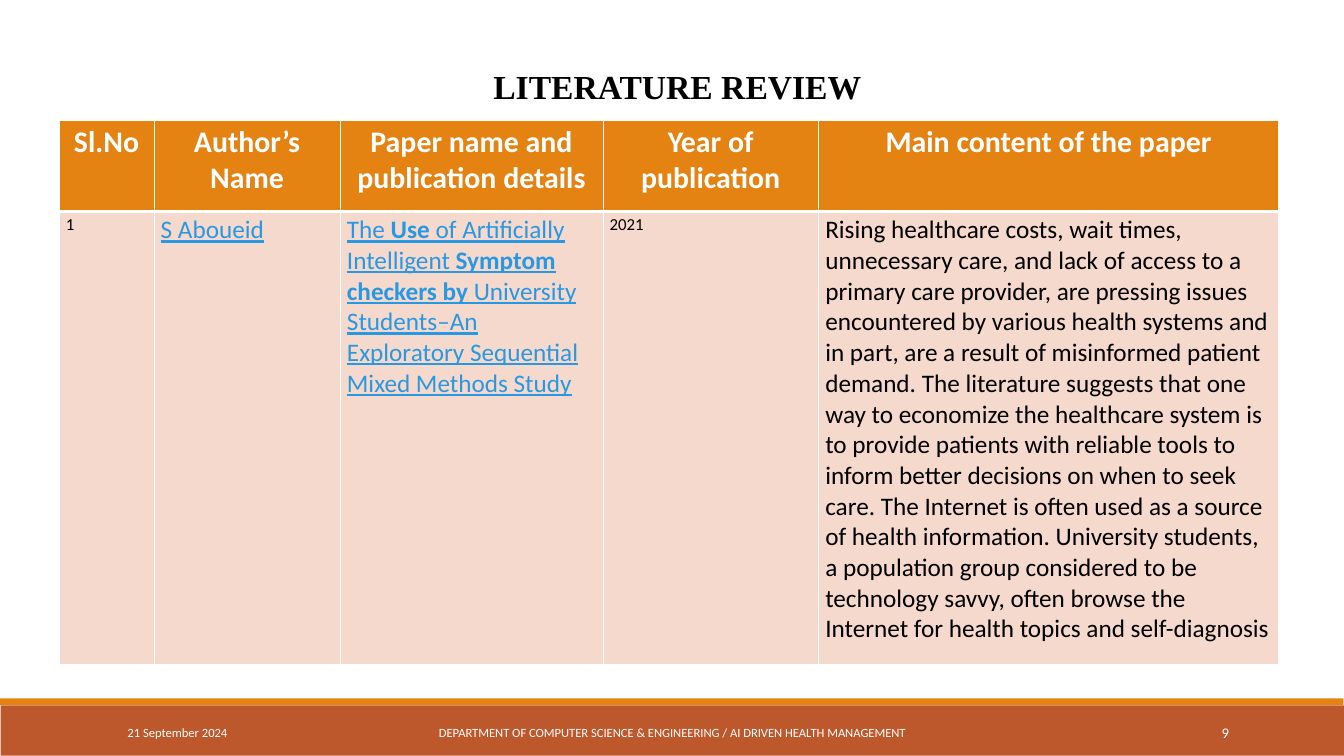
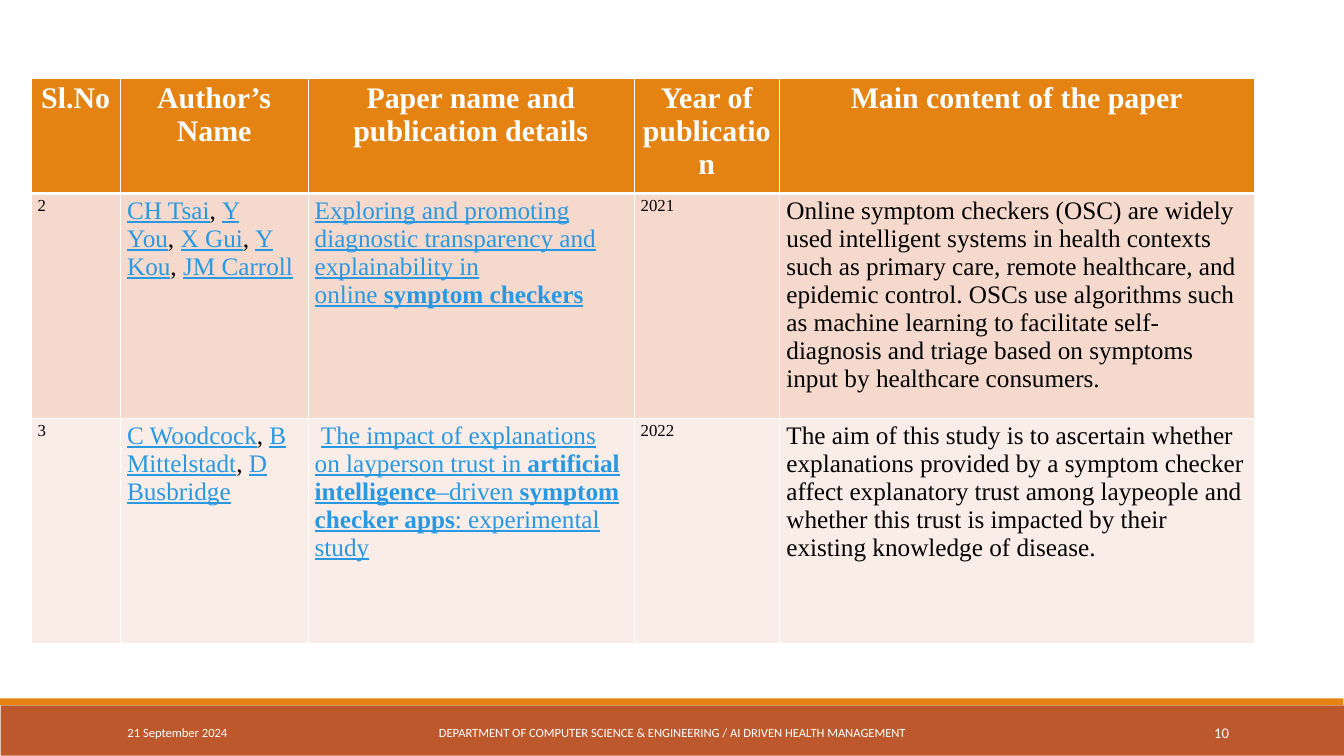
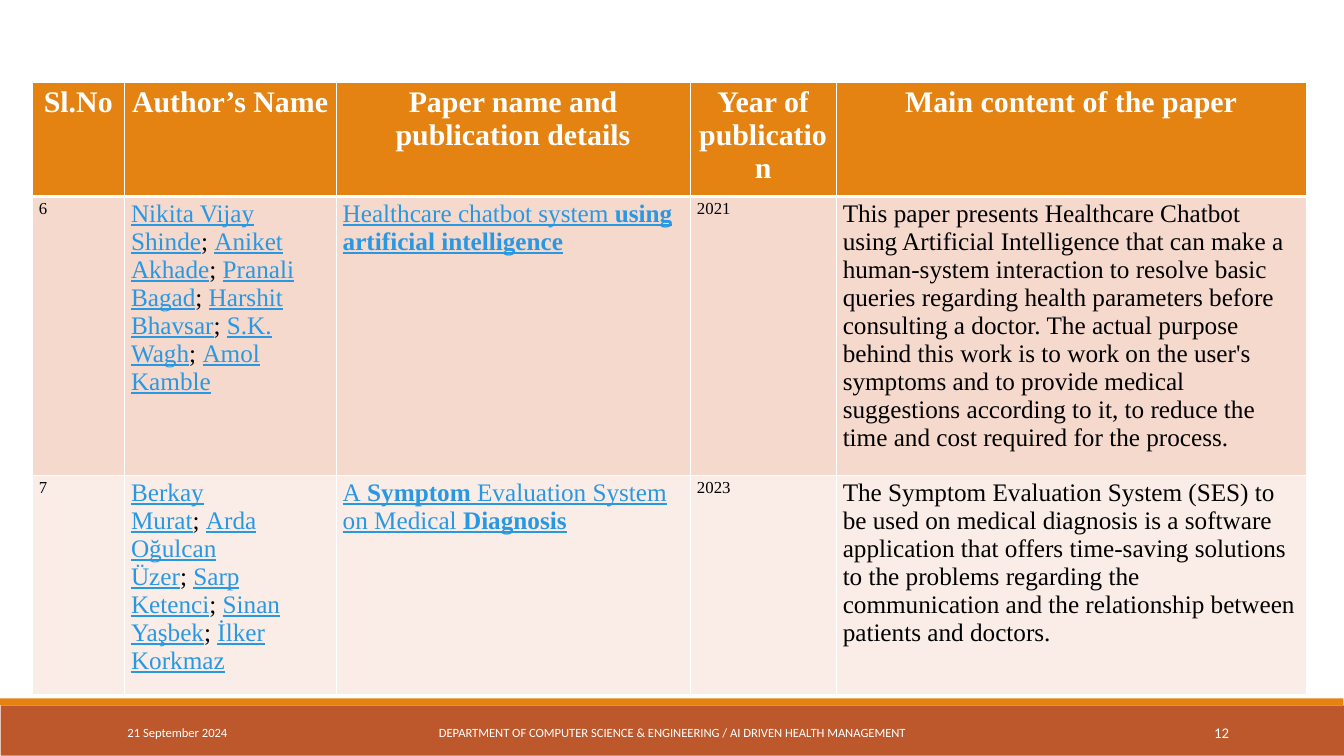
from dataclasses import dataclass

from lxml import etree
from pptx import Presentation
from pptx import util as u
from pptx.dml.color import RGBColor
from pptx.enum import shapes, text
from pptx.oxml import ns

COLORS = {
    "white": "FFFFFF",
    "black": "000000",
    "orange": "E48312",
    "rust": "BD582C",
    "link": "2998E3",
    "odd_row": "F5D9CC",
    "even_row": "FAEDE7",
}
SANS, SERIF = "Calibri", "Times New Roman"
NBSP = chr(160)
HEADINGS = [
    "Sl.No",
    "Author’s Name",
    "Paper name and publication details",
    "Year of publication",
    "Main content of the paper",
]
LEFT, CENTER, RIGHT = text.PP_ALIGN.LEFT, text.PP_ALIGN.CENTER, text.PP_ALIGN.RIGHT


@dataclass
class Paper:
    """One row of the review; authors and title are lists of formatted runs."""
    number: int
    authors: list
    title: list
    year: int
    summary: str


def link_style(bold=False):
    """Return the run format of a linked phrase."""
    return {"color": "link", "underline": True, "bold": bold}


def author_runs(separator, *names):
    """Return linked names with plain separators between them."""
    runs = []
    for name in names:
        if runs:
            runs.append((separator + NBSP, {}))
        runs.append((name, link_style()))
    return runs


def title_runs(*phrases):
    """Return linked phrases that alternate between regular and bold."""
    return [(phrase, link_style(bold=index % 2 == 1)) for index, phrase in enumerate(phrases)]


def add_text(paragraph, content, *, size, font=SANS, color="black", bold=False,
             underline=False, align=LEFT):
    """Append one formatted run to a paragraph."""
    paragraph.alignment = align
    run = paragraph.add_run()
    run.text = content
    run.font.size = u.Pt(size)
    run.font.name = font
    run.font.bold = bold
    run.font.underline = underline
    run.font.color.rgb = RGBColor.from_string(COLORS[color])


def add_box(slide, box, content, anchor=text.MSO_ANCHOR.MIDDLE, **style):
    """Add a wrapping text box and return its frame."""
    frame = slide.shapes.add_textbox(*map(u.Cm, box)).text_frame
    frame.word_wrap = True
    frame.vertical_anchor = anchor
    add_text(frame.paragraphs[0], content, **style)
    return frame


def add_band(slide, box, color):
    """Add a plain filled rectangle."""
    shape = slide.shapes.add_shape(shapes.MSO_SHAPE.RECTANGLE, *map(u.Cm, box))
    shape.shadow.inherit = False
    shape.fill.solid()
    shape.fill.fore_color.rgb = RGBColor.from_string(COLORS[color])
    shape.line.fill.background()


def add_footer(slide, number, top=26.67, width=50.78):
    """Draw the two bands with the date, department and slide number."""
    add_band(slide, (0.02, top, width, 1.9), "rust")
    add_band(slide, (0, top - 0.27, width, 0.26), "orange")
    entries = [
        (4.57, 10.31, "21 September 2024", 13.5, LEFT),
        (15.37, 20.09, "DEPARTMENT OF COMPUTER SCIENCE & ENGINEERING / AI DRIVEN HEALTH MANAGEMENT",
         13.5, CENTER),
        (41.25, 5.46, str(number), 15.8, RIGHT),
    ]
    for left, box_width, content, size, align in entries:
        add_box(slide, (left, top + 0.25, box_width, 1.52), content,
                size=size, color="white", align=align)


def add_title(slide, box, content):
    """Add the section title."""
    frame = add_box(slide, box, content, text.MSO_ANCHOR.TOP,
                    size=36, font=SERIF, bold=True, align=CENTER)
    frame.margin_left = u.Cm(1.52)
    frame.paragraphs[0].line_spacing = 1.5


def style_cell(cell, fill, bottom):
    """Give a cell white borders and a solid fill."""
    properties = cell._tc.get_or_add_tcPr()
    for side, points in (("L", 1), ("R", 1), ("T", 1), ("B", bottom)):
        line = etree.SubElement(properties, ns.qn(f"a:ln{side}"), w=str(u.Pt(points)))
        solid = etree.SubElement(line, ns.qn("a:solidFill"))
        etree.SubElement(solid, ns.qn("a:srgbClr"), val=COLORS["white"])
    cell.fill.solid()
    cell.fill.fore_color.rgb = RGBColor.from_string(COLORS[fill])


def add_review_table(slide, left, top, widths, heights, papers, font):
    """Add the table of papers under its heading row."""
    box = (left, top, sum(widths), sum(heights))
    table = slide.shapes.add_table(len(heights), len(widths), *map(u.Cm, box)).table
    for column, width in zip(table.columns, widths):
        column.width = u.Cm(width)
    for row, height in zip(table.rows, heights):
        row.height = u.Cm(height)
    for cell, heading in zip(table.rows[0].cells, HEADINGS):
        style_cell(cell, "orange", bottom=3)
        add_text(cell.text_frame.paragraphs[0], heading, size=32, font=font,
                 color="white", bold=True, align=CENTER)
    for index, paper in enumerate(papers, start=1):
        contents = [
            (18, [(str(paper.number), {})]),
            (27, paper.authors),
            (27, paper.title),
            (18, [(str(paper.year), {})]),
            (27, [(paper.summary, {})]),
        ]
        for cell, (size, runs) in zip(table.rows[index].cells, contents):
            style_cell(cell, "odd_row" if index % 2 else "even_row", bottom=1)
            for content, style in runs:
                add_text(cell.text_frame.paragraphs[0], content, size=size, font=font, **style)


def add_review_slide(presentation, number, title=None, **table):
    """Add one literature review slide."""
    slide = presentation.slides.add_slide(presentation.slide_layouts[6])
    add_footer(slide, number)
    if title:
        add_title(slide, (1.55, 1.6, 46.84, 2.29), title)
    add_review_table(slide, **table)


STUDENT_STUDY = Paper(
    1,
    author_runs(",", "S Aboueid"),
    title_runs(f"The{NBSP}", f"Use{NBSP}", f"of Artificially Intelligent{NBSP}",
               f"Symptom checkers by{NBSP}",
               "University Students–An Exploratory Sequential Mixed Methods Study"),
    2021,
    "Rising healthcare costs, wait times, unnecessary care, and lack of access to a primary "
    "care provider, are pressing issues encountered by various health systems and in part, "
    "are a result of misinformed patient demand. The literature suggests that one way to "
    "economize the healthcare system is to provide patients with reliable tools to inform "
    "better decisions on when to seek care. The Internet is often used as a source of health "
    "information. University students, a population group considered to be technology savvy, "
    "often browse the Internet for health topics and self-diagnosis",
)
TRANSPARENCY_STUDY = Paper(
    2,
    author_runs(",", "CH Tsai", "Y You", "X Gui", "Y Kou", "JM Carroll"),
    title_runs("Exploring and promoting diagnostic transparency and explainability in "
               f"online{NBSP}", "symptom checkers"),
    2021,
    "Online symptom checkers (OSC) are widely used intelligent systems in health contexts "
    "such as primary care, remote healthcare, and epidemic control. OSCs use algorithms such "
    "as machine learning to facilitate self-diagnosis and triage based on symptoms input by "
    "healthcare consumers.",
)
TRUST_STUDY = Paper(
    3,
    author_runs(",", "C Woodcock", "B Mittelstadt", "D Busbridge"),
    [(NBSP, {})] + title_runs(
        f"The impact of explanations on layperson trust in{NBSP}", "artificial intelligence",
        f"–driven{NBSP}", "symptom checker apps", ": experimental study"),
    2022,
    "The aim of this study is to ascertain whether explanations provided by a symptom checker "
    "affect explanatory trust among laypeople and whether this trust is impacted by their "
    "existing knowledge of disease.",
)
CHATBOT_STUDY = Paper(
    6,
    author_runs(";", "Nikita Vijay Shinde", "Aniket Akhade", "Pranali Bagad",
                "Harshit Bhavsar", "S.K. Wagh", "Amol Kamble"),
    title_runs(f"Healthcare chatbot system{NBSP}", "using artificial intelligence"),
    2021,
    "This paper presents Healthcare Chatbot using Artificial Intelligence that can make a "
    "human-system interaction to resolve basic queries regarding health parameters before "
    "consulting a doctor. The actual purpose behind this work is to work on the user's "
    "symptoms and to provide medical suggestions according to it, to reduce the time and cost "
    "required for the process.",
)
EVALUATION_STUDY = Paper(
    7,
    author_runs(";", "Berkay Murat", "Arda Oğulcan Üzer", "Sarp Ketenci", "Sinan Yaşbek",
                "İlker Korkmaz"),
    title_runs(f"A{NBSP}", f"Symptom{NBSP}", f"Evaluation System on Medical{NBSP}", "Diagnosis"),
    2023,
    "The Symptom Evaluation System (SES) to be used on medical diagnosis is a software "
    "application that offers time-saving solutions to the problems regarding the "
    "communication and the relationship between patients and doctors.",
)


def main():
    """Build and save the presentation."""
    presentation = Presentation()
    presentation.slide_width, presentation.slide_height = u.Cm(50.8), u.Cm(28.58)
    add_review_slide(
        presentation, 9, "LITERATURE REVIEW", left=2.24, top=4.55,
        widths=[3.58, 7.04, 9.93, 8.15, 17.4], heights=[3.45, 17.12],
        papers=[STUDENT_STUDY], font=SANS)
    add_review_slide(
        presentation, 10, left=1.17, top=2.97,
        widths=[3.38, 7.09, 12.32, 5.51, 17.93], heights=[4.34, 8.51, 8.51],
        papers=[TRANSPARENCY_STUDY, TRUST_STUDY], font=SERIF)
    add_review_slide(
        presentation, 12, left=1.22, top=3.1,
        widths=[3.48, 8, 13.39, 5.51, 17.78], heights=[4.3, 10.53, 8.28],
        papers=[CHATBOT_STUDY, EVALUATION_STUDY], font=SERIF)
    presentation.save("out.pptx")


if __name__ == "__main__":
    main()
